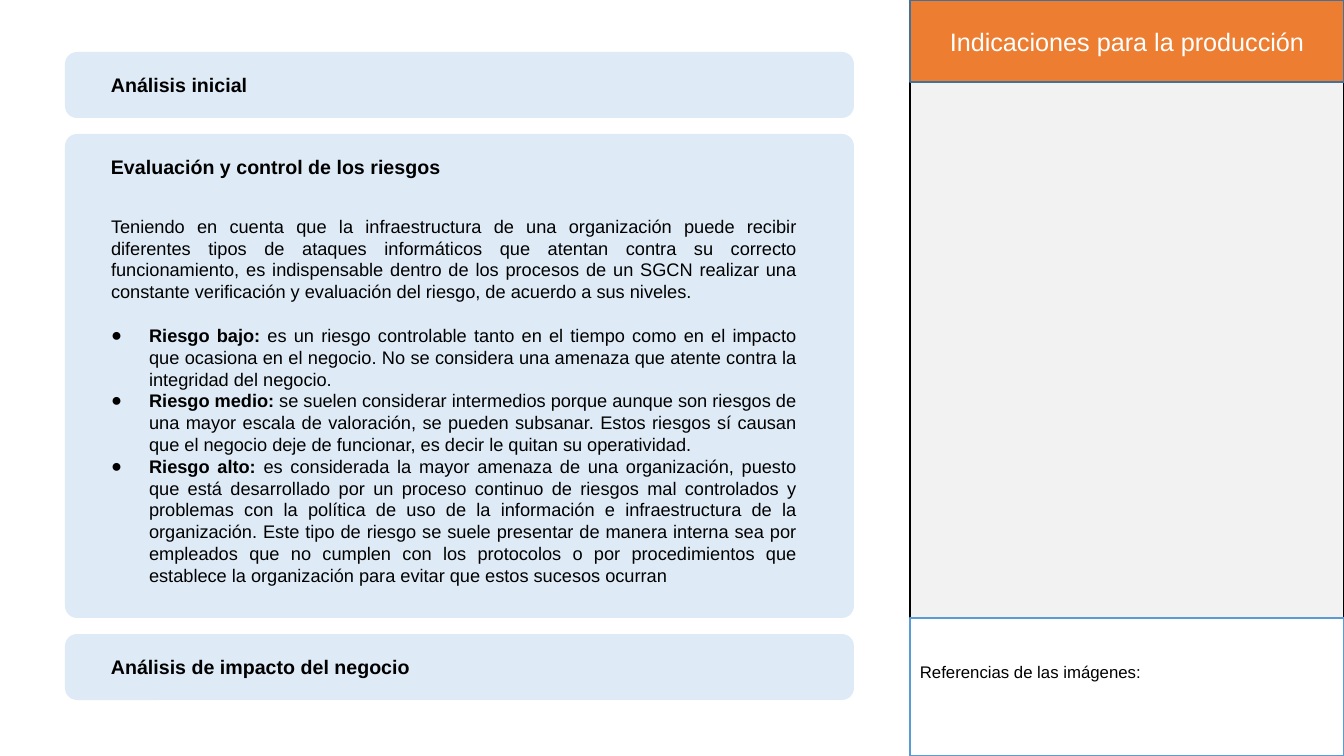
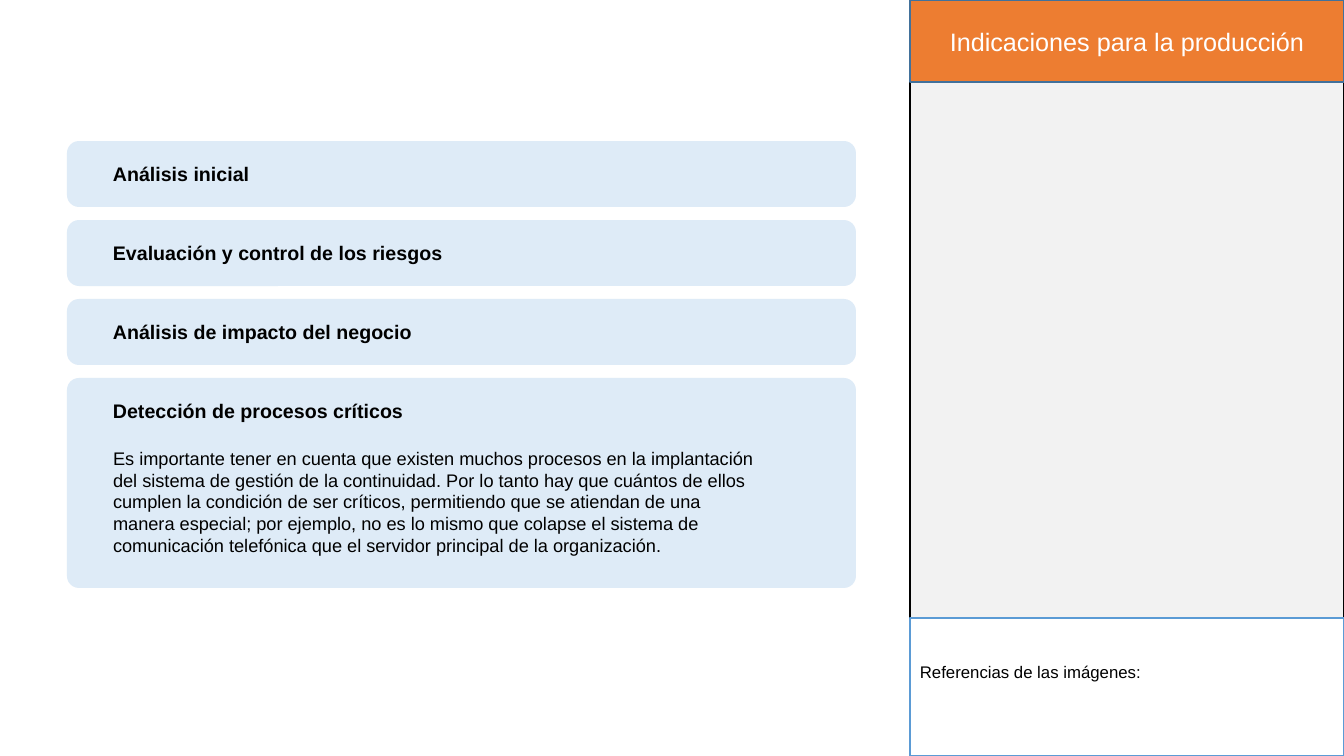
from dataclasses import dataclass

from lxml import etree
from pptx import Presentation
from pptx import util as u
from pptx.dml.color import RGBColor
from pptx.enum import shapes, text
from pptx.oxml.ns import qn

SLIDE_WIDTH, SLIDE_HEIGHT = 1344, 756
EMU_PER_PX = 12192000 / SLIDE_WIDTH

FONT = "Arial"
BLACK, WHITE = "000000", "FFFFFF"
ORANGE, HEADER_LINE = "ED7D31", "42719B"
PANEL_GREY, REFERENCE_LINE = "F2F2F2", "5B9BD5"
CARD_BLUE = "DEEBF7"

SIDEBAR_LEFT, SIDEBAR_WIDTH = 910, 434
HEADER_HEIGHT, REFERENCE_TOP = 82, 618
REFERENCE_BOTTOM_INSET = 36
CARD_WIDTH, CARD_HEIGHT, CARD_RADIUS = 789, 66, 12
LABEL_INDENT, LABEL_OFFSET, LABEL_HEIGHT = 36, 16, 34
BULLET_INDENT = 38
LINE_PITCH = 15.6


@dataclass(frozen=True)
class Box:
    left: int
    top: int
    width: int
    height: int


@dataclass(frozen=True)
class Card:
    label: str
    label_width: int
    height: int = CARD_HEIGHT


@dataclass(frozen=True)
class BodyParagraph:
    content: str
    lead: str = ""
    space_before: float = 0


@dataclass(frozen=True)
class Page:
    left: int
    top: int
    gap: int
    cards: tuple[Card, ...]
    body_top: int
    body_width: int
    body_height: int
    alignment: text.PP_ALIGN
    paragraphs: tuple[BodyParagraph, ...]


INITIAL = Card("Análisis inicial", 157)
RISKS = "Evaluación y control de los riesgos"
IMPACT = Card("Análisis de impacto del negocio", 321)

PAGES = (
    Page(
        65, 52, 16,
        (INITIAL, Card(RISKS, 351, 484), IMPACT),
        210, 705, 385, text.PP_ALIGN.JUSTIFY,
        (
            BodyParagraph(
                "Teniendo en cuenta que la infraestructura de una organización puede "
                "recibir diferentes tipos de ataques informáticos que atentan contra su "
                "correcto funcionamiento, es indispensable dentro de los procesos de un "
                "SGCN realizar una constante verificación y evaluación del riesgo, de "
                "acuerdo a sus niveles."
            ),
            BodyParagraph(
                "es un riesgo controlable tanto en el tiempo como en el impacto que "
                "ocasiona en el negocio. No se considera una amenaza que atente contra "
                "la integridad del negocio.",
                "Riesgo bajo: ",
                LINE_PITCH,
            ),
            BodyParagraph(
                "se suelen considerar intermedios porque aunque son riesgos de una mayor "
                "escala de valoración, se pueden subsanar. Estos riesgos sí causan que el "
                "negocio deje de funcionar, es decir le quitan su operatividad.",
                "Riesgo medio: ",
            ),
            BodyParagraph(
                "es considerada la mayor amenaza de una organización, puesto que está "
                "desarrollado por un proceso continuo de riesgos mal controlados y "
                "problemas con la política de uso de la información e infraestructura de "
                "la organización. Este tipo de riesgo se suele presentar de manera interna "
                "sea por empleados que no cumplen con los protocolos o por procedimientos "
                "que establece la organización para evitar que estos sucesos ocurran",
                "Riesgo alto: ",
            ),
        ),
    ),
    Page(
        67, 141, 13,
        (INITIAL, Card(RISKS, 351), IMPACT,
         Card("Detección de procesos críticos", 311, 210)),
        442, 672, 120, text.PP_ALIGN.LEFT,
        (
            BodyParagraph(
                "Es importante tener en cuenta que existen muchos procesos en la "
                "implantación del sistema de gestión de la continuidad. Por lo tanto hay "
                "que cuántos de ellos cumplen la condición de ser críticos, permitiendo "
                "que se atiendan de una manera especial; por ejemplo, no es lo mismo que "
                "colapse el sistema de comunicación telefónica que el servidor principal "
                "de la organización."
            ),
        ),
    ),
)


def px(length: int) -> int:
    return round(length * EMU_PER_PX)


def color(value: str) -> RGBColor:
    return RGBColor.from_string(value)


def place(shape, box: Box) -> None:
    shape.left, shape.top = px(box.left), px(box.top)
    shape.width, shape.height = px(box.width), px(box.height)


def bring_to_front(shape) -> None:
    shape.element.getparent().append(shape.element)


def paint(shape, fill: str, line: str = "") -> None:
    shape.fill.solid()
    shape.fill.fore_color.rgb = color(fill)
    if line:
        shape.line.color.rgb = color(line)
        shape.line.width = u.Pt(1)
    else:
        shape.line.fill.background()


def add_box(slide, kind: shapes.MSO_SHAPE, box: Box, fill: str, line: str = ""):
    shape = slide.shapes.add_shape(
        kind, px(box.left), px(box.top), px(box.width), px(box.height)
    )
    shape.shadow.inherit = False
    paint(shape, fill, line)
    return shape


def add_run(paragraph, content: str, size: int, ink: str = BLACK, bold: bool = False) -> None:
    run = paragraph.add_run()
    run.text = content
    run.font.name = FONT
    run.font.size = u.Pt(size)
    run.font.bold = bold
    run.font.color.rgb = color(ink)


def set_bullet(paragraph, bulleted: bool) -> None:
    properties = paragraph._p.get_or_add_pPr()
    indent = px(BULLET_INDENT) if bulleted else 0
    properties.set("marL", str(indent))
    properties.set("indent", str(-indent))
    if bulleted:
        bullet_color = etree.SubElement(properties, qn("a:buClr"))
        etree.SubElement(bullet_color, qn("a:srgbClr"), val=BLACK)
        etree.SubElement(properties, qn("a:buChar"), char="●")
    else:
        etree.SubElement(properties, qn("a:buNone"))


def draw_sidebar(slide) -> None:
    rectangle = shapes.MSO_SHAPE.RECTANGLE
    panel = Box(SIDEBAR_LEFT, 0, SIDEBAR_WIDTH, SLIDE_HEIGHT)
    add_box(slide, rectangle, panel, PANEL_GREY, BLACK)

    title = slide.shapes.title
    place(title, Box(SIDEBAR_LEFT, 0, SIDEBAR_WIDTH, HEADER_HEIGHT))
    paint(title, ORANGE, HEADER_LINE)
    bring_to_front(title)
    frame = title.text_frame
    frame.auto_size = text.MSO_AUTO_SIZE.NONE
    frame.vertical_anchor = text.MSO_ANCHOR.MIDDLE
    paragraph = frame.paragraphs[0]
    paragraph.alignment = text.PP_ALIGN.CENTER
    add_run(paragraph, "Indicaciones para la producción", 18, WHITE)

    area = Box(SIDEBAR_LEFT, REFERENCE_TOP, SIDEBAR_WIDTH, SLIDE_HEIGHT - REFERENCE_TOP)
    references = add_box(slide, rectangle, area, WHITE, REFERENCE_LINE)
    frame = references.text_frame
    frame.word_wrap = True
    frame.vertical_anchor = text.MSO_ANCHOR.MIDDLE
    frame.margin_bottom = px(REFERENCE_BOTTOM_INSET)
    paragraph = frame.paragraphs[0]
    paragraph.alignment = text.PP_ALIGN.LEFT
    add_run(paragraph, "Referencias de las imágenes:", 12)


def draw_card(slide, card: Card, left: int, top: int) -> None:
    area = Box(left, top, CARD_WIDTH, card.height)
    shape = add_box(slide, shapes.MSO_SHAPE.ROUNDED_RECTANGLE, area, CARD_BLUE)
    shape.adjustments[0] = CARD_RADIUS / card.height
    label = slide.shapes.add_textbox(
        px(left + LABEL_INDENT), px(top + LABEL_OFFSET),
        px(card.label_width), px(LABEL_HEIGHT),
    )
    label.text_frame.word_wrap = False
    add_run(label.text_frame.paragraphs[0], card.label, 14, bold=True)


def draw_body(slide, page: Page) -> None:
    body = slide.placeholders[1]
    place(body, Box(page.left + LABEL_INDENT, page.body_top, page.body_width, page.body_height))
    bring_to_front(body)
    frame = body.text_frame
    frame.auto_size = text.MSO_AUTO_SIZE.NONE
    for index, item in enumerate(page.paragraphs):
        paragraph = frame.add_paragraph() if index else frame.paragraphs[0]
        set_bullet(paragraph, bool(item.lead))
        paragraph.alignment = page.alignment
        paragraph.line_spacing = u.Pt(LINE_PITCH)
        paragraph.space_before = u.Pt(item.space_before)
        if item.lead:
            add_run(paragraph, item.lead, 13, bold=True)
        add_run(paragraph, item.content, 13)


def draw_page(presentation, page: Page) -> None:
    slide = presentation.slides.add_slide(presentation.slide_layouts[1])
    draw_sidebar(slide)
    top = page.top
    for card in page.cards:
        draw_card(slide, card, page.left, top)
        top += card.height + page.gap
    draw_body(slide, page)


def main() -> None:
    presentation = Presentation()
    presentation.slide_width = px(SLIDE_WIDTH)
    presentation.slide_height = px(SLIDE_HEIGHT)
    for page in PAGES:
        draw_page(presentation, page)
    presentation.save("out.pptx")


if __name__ == "__main__":
    main()
